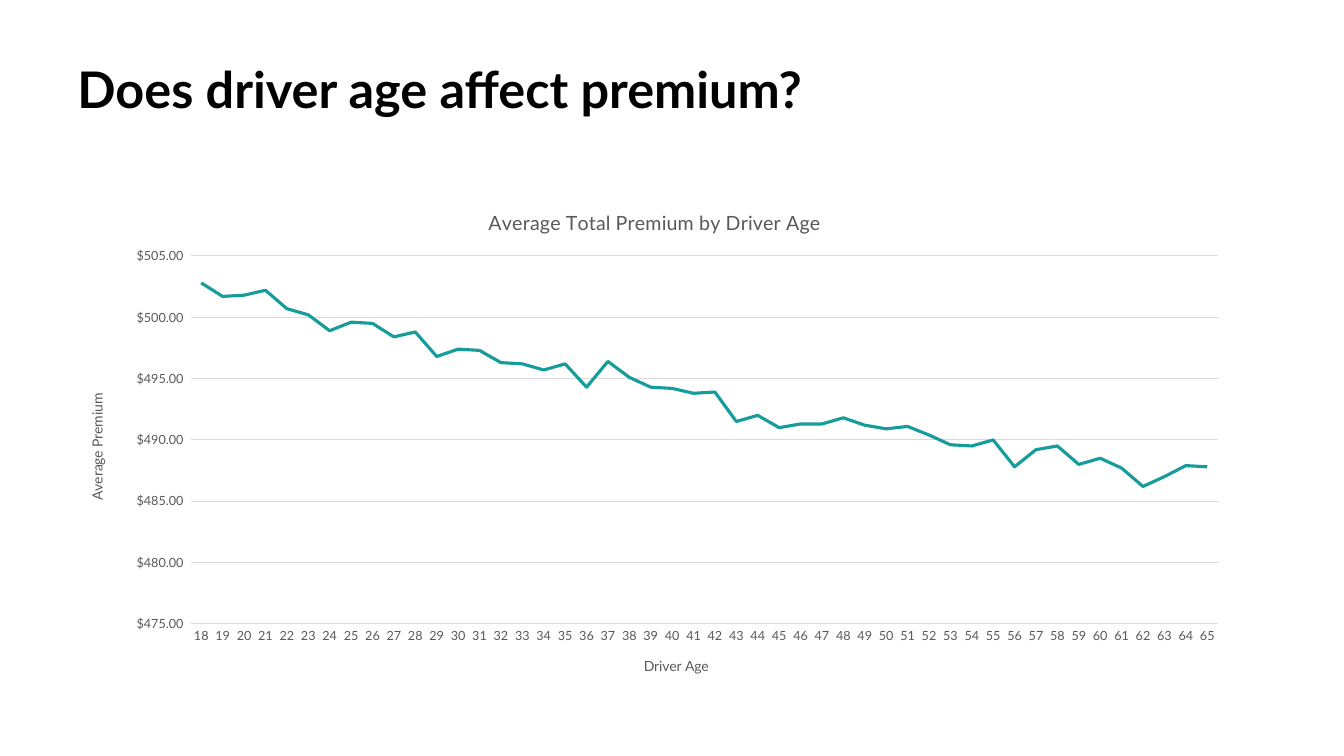
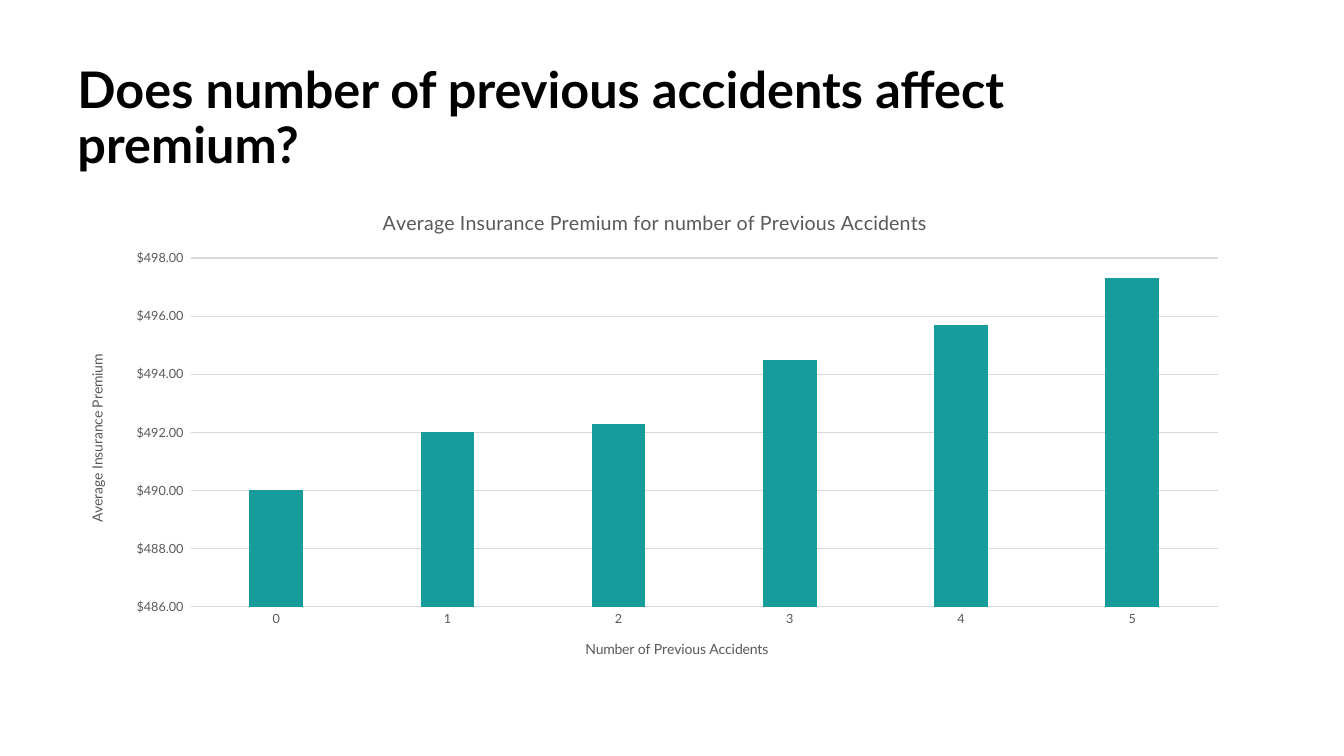
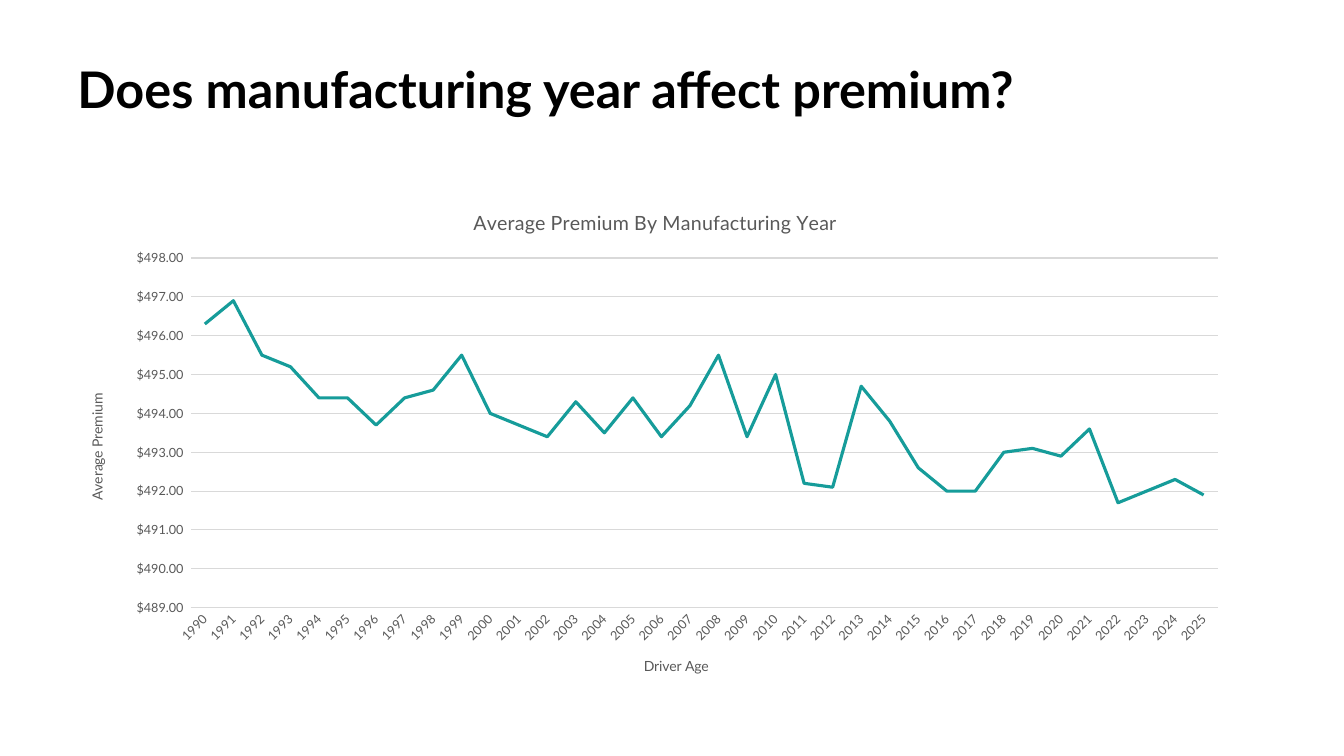
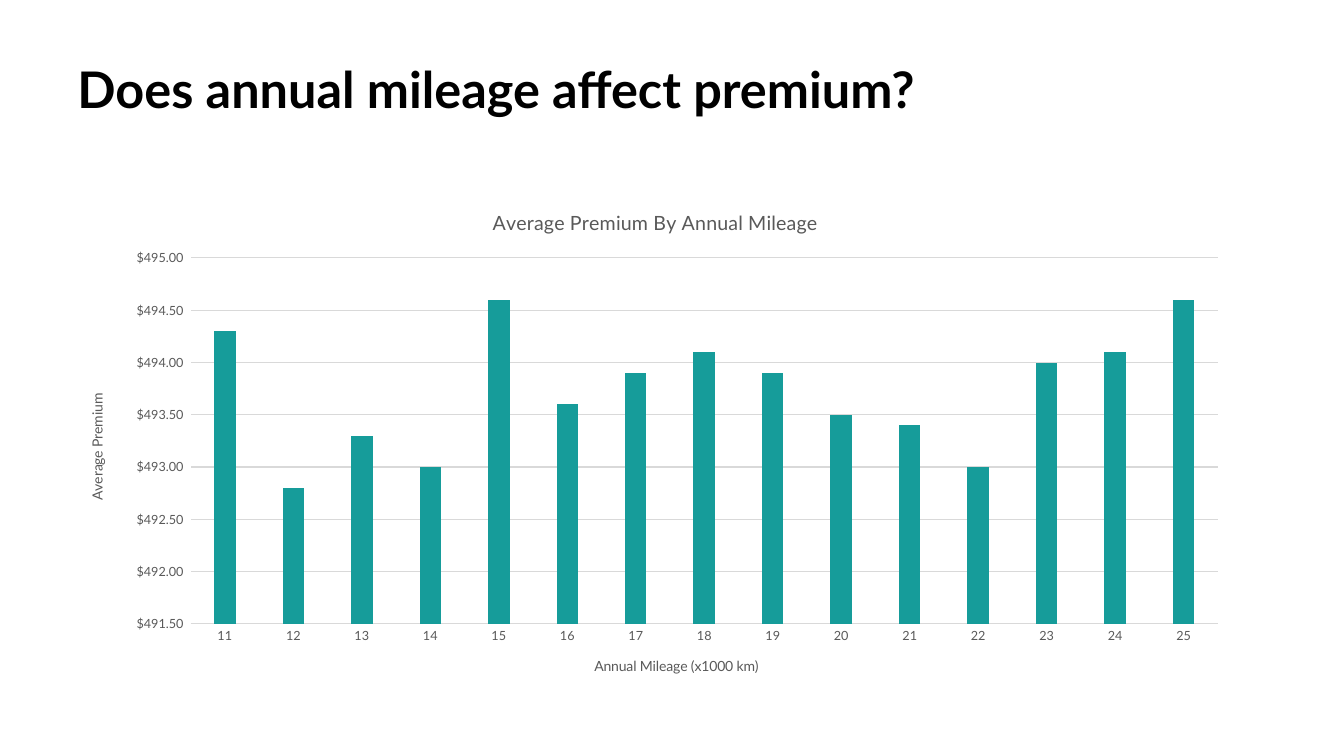
from dataclasses import dataclass

from lxml.etree import SubElement
from pptx import Presentation
from pptx.chart.data import CategoryChartData
from pptx.dml.color import RGBColor
from pptx.enum.chart import XL_CHART_TYPE, XL_TICK_MARK
from pptx.oxml.ns import qn
from pptx.util import Inches, Pt


@dataclass(frozen=True)
class Theme:
    font: str = "Lato"
    black: RGBColor = RGBColor(0x00, 0x00, 0x00)
    grey: RGBColor = RGBColor(0x59, 0x59, 0x59)
    grid: RGBColor = RGBColor(0xD9, 0xD9, 0xD9)
    teal: RGBColor = RGBColor(0x16, 0x9C, 0x9A)
    slide_title: int = 36
    chart_title: int = 14
    axis_title: int = 10
    label: int = 9


THEME = Theme()

# All boxes are in inches: left, top, width, height.
SLIDE_SIZE = (13.33, 7.5)
TITLE_BOX = (0.67, 0.6, 11.65, 1.24)
CHART_BOX = (0.67, 1.88, 11.65, 5.02)
PLOT_LEFT, PLOT_WIDTH = 1.89, 10.19
CHART_TITLE_TOP = 2.03
VALUE_TITLE_LEFT = 0.84
NUMBER_FORMAT = '"$"#,##0.00_)'

# "scale" is minimum, maximum and step; "plot" is top and bottom of the plot.
# The "_at" entries place the start of each chart text.
SLIDES = [
    {
        "title": "Does driver age affect premium?",
        "kind": XL_CHART_TYPE.LINE,
        "chart_title": "Average Total Premium by Driver Age", "chart_title_at": 4.81,
        "category_title": "Driver Age", "category_title_at": (6.36, 6.48),
        "value_title": "Average Premium", "value_title_at": 3.88,
        "scale": (475, 505, 5), "plot": (2.54, 6.19), "label_angle": 0,
        "categories": range(18, 66),
        "values": [
            502.8, 501.7, 501.8, 502.2, 500.7, 500.2, 498.9, 499.6,
            499.5, 498.4, 498.8, 496.8, 497.4, 497.3, 496.3, 496.2,
            495.7, 496.2, 494.3, 496.4, 495.1, 494.3, 494.2, 493.8,
            493.9, 491.5, 492, 491, 491.3, 491.3, 491.8, 491.2,
            490.9, 491.1, 490.4, 489.6, 489.5, 490, 487.8, 489.2,
            489.5, 488, 488.5, 487.7, 486.2, 487, 487.9, 487.8,
        ],
    },
    {
        "title": "Does number of previous accidents affect premium?",
        "kind": XL_CHART_TYPE.COLUMN_CLUSTERED,
        "chart_title": "Average Insurance Premium for number of Previous Accidents",
        "chart_title_at": 3.76,
        "category_title": "Number of Previous Accidents", "category_title_at": (5.78, 6.32),
        "value_title": "Average Insurance Premium", "value_title_at": 3.49,
        "scale": (486, 498, 2), "plot": (2.56, 6.02), "label_angle": 0,
        "categories": range(6),
        "values": [490, 492, 492.3, 494.5, 495.7, 497.3],
    },
    {
        "title": "Does manufacturing year affect premium?",
        "kind": XL_CHART_TYPE.LINE,
        "chart_title": "Average Premium By Manufacturing Year", "chart_title_at": 4.66,
        "category_title": "Driver Age", "category_title_at": (6.36, 6.48),
        "value_title": "Average Premium", "value_title_at": 3.88,
        "scale": (489, 498, 1), "plot": (2.56, 6.03), "label_angle": -45,
        "categories": range(1990, 2026),
        "values": [
            496.3, 496.9, 495.5, 495.2, 494.4, 494.4, 493.7, 494.4, 494.6,
            495.5, 494, 493.7, 493.4, 494.3, 493.5, 494.4, 493.4, 494.2,
            495.5, 493.4, 495, 492.2, 492.1, 494.7, 493.8, 492.6, 492,
            492, 493, 493.1, 492.9, 493.6, 491.7, 492, 492.3, 491.9,
        ],
    },
    {
        "title": "Does annual mileage affect premium?",
        "kind": XL_CHART_TYPE.COLUMN_CLUSTERED,
        "chart_title": "Average Premium By Annual Mileage", "chart_title_at": 4.85,
        "category_title": "Annual Mileage (x1000 km)", "category_title_at": (5.87, 6.48),
        "value_title": "Average Premium", "value_title_at": 3.88,
        "scale": (491.5, 495, 0.5), "plot": (2.56, 6.19), "label_angle": 0,
        "categories": range(11, 26),
        "values": [
            494.3, 492.8, 493.3, 493, 494.6, 493.6, 493.9, 494.1,
            493.9, 493.5, 493.4, 493, 494, 494.1, 494.6,
        ],
    },
]


def style_font(font, size, color, bold=False):
    font.name = THEME.font
    font.size = Pt(size)
    font.color.rgb = color
    font.bold = bold


def place(element, left, top, width=None, height=None):
    """Give a chart part a manual layout from slide positions in inches."""
    for old_layout in element.findall(qn("c:layout")):
        element.remove(old_layout)
    layout = SubElement(element, qn("c:layout"))
    text = element.find(qn("c:tx"))
    element.insert(0 if text is None else element.index(text) + 1, layout)
    manual = SubElement(layout, qn("c:manualLayout"))
    chart_left, chart_top, chart_width, chart_height = CHART_BOX
    settings = {"xMode": "edge", "yMode": "edge",
                "x": (left - chart_left) / chart_width,
                "y": (top - chart_top) / chart_height}
    if width is not None:
        settings = {"layoutTarget": "inner", **settings,
                    "w": width / chart_width, "h": height / chart_height}
    for name, value in settings.items():
        SubElement(manual, qn(f"c:{name}")).set("val", str(value))


def rotate(body, degrees):
    body.set("rot", str(degrees * 60000))
    body.set("vert", "horz")


def add_chart_text(title, text, size, left, top):
    title.text_frame.text = text
    style_font(title.text_frame.paragraphs[0].runs[0].font, size, THEME.grey)
    place(title._element, left, top)


def style_axes(chart, content):
    category_axis, value_axis = chart.category_axis, chart.value_axis
    for axis in (category_axis, value_axis):
        axis.major_tick_mark = axis.minor_tick_mark = XL_TICK_MARK.NONE
        style_font(axis.tick_labels.font, THEME.label, THEME.grey)
    category_axis.has_major_gridlines = False
    rotate(category_axis._element.txPr.bodyPr, content["label_angle"])
    value_axis.minimum_scale, value_axis.maximum_scale, value_axis.major_unit = content["scale"]
    value_axis.tick_labels.number_format = NUMBER_FORMAT
    value_axis.tick_labels.number_format_is_linked = False
    value_axis.format.line.fill.background()
    for line in (category_axis.format.line, value_axis.major_gridlines.format.line):
        line.color.rgb = THEME.grid
        line.width = Pt(0.75)

    add_chart_text(category_axis.axis_title, content["category_title"],
                   THEME.axis_title, *content["category_title_at"])
    add_chart_text(value_axis.axis_title, content["value_title"],
                   THEME.axis_title, VALUE_TITLE_LEFT, content["value_title_at"])
    rotate(value_axis.axis_title.text_frame._txBody.bodyPr, -90)


def style_series(plot, kind):
    plot.vary_by_categories = False
    series = plot.series[0]
    if kind == XL_CHART_TYPE.LINE:
        series.smooth = False
        series.format.line.color.rgb = THEME.teal
        series.format.line.width = Pt(2.25)
    else:
        plot.gap_width, plot.overlap = 219, -27
        series.format.fill.solid()
        series.format.fill.fore_color.rgb = THEME.teal


def add_premium_chart(slide, content):
    data = CategoryChartData()
    data.categories = [str(category) for category in content["categories"]]
    data.add_series("Series 1", content["values"])
    box = [Inches(length) for length in CHART_BOX]
    chart = slide.shapes.add_chart(content["kind"], *box, data).chart
    style_font(chart.font, THEME.axis_title, THEME.black)
    chart.has_legend = False
    add_chart_text(chart.chart_title, content["chart_title"], THEME.chart_title,
                   content["chart_title_at"], CHART_TITLE_TOP)
    style_axes(chart, content)
    style_series(chart.plots[0], content["kind"])
    top, bottom = content["plot"]
    place(chart._chartSpace.chart.plotArea, PLOT_LEFT, top, PLOT_WIDTH, bottom - top)


def add_title(slide, text):
    box = slide.shapes.add_textbox(*[Inches(length) for length in TITLE_BOX])
    box.text_frame.word_wrap = True
    paragraph = box.text_frame.paragraphs[0]
    paragraph.text = text
    paragraph.line_spacing = 0.9
    style_font(paragraph.runs[0].font, THEME.slide_title, THEME.black, bold=True)


def main():
    presentation = Presentation()
    presentation.slide_width, presentation.slide_height = map(Inches, SLIDE_SIZE)
    for content in SLIDES:
        slide = presentation.slides.add_slide(presentation.slide_layouts[6])
        add_title(slide, content["title"])
        add_premium_chart(slide, content)
    presentation.save("out.pptx")


if __name__ == "__main__":
    main()
